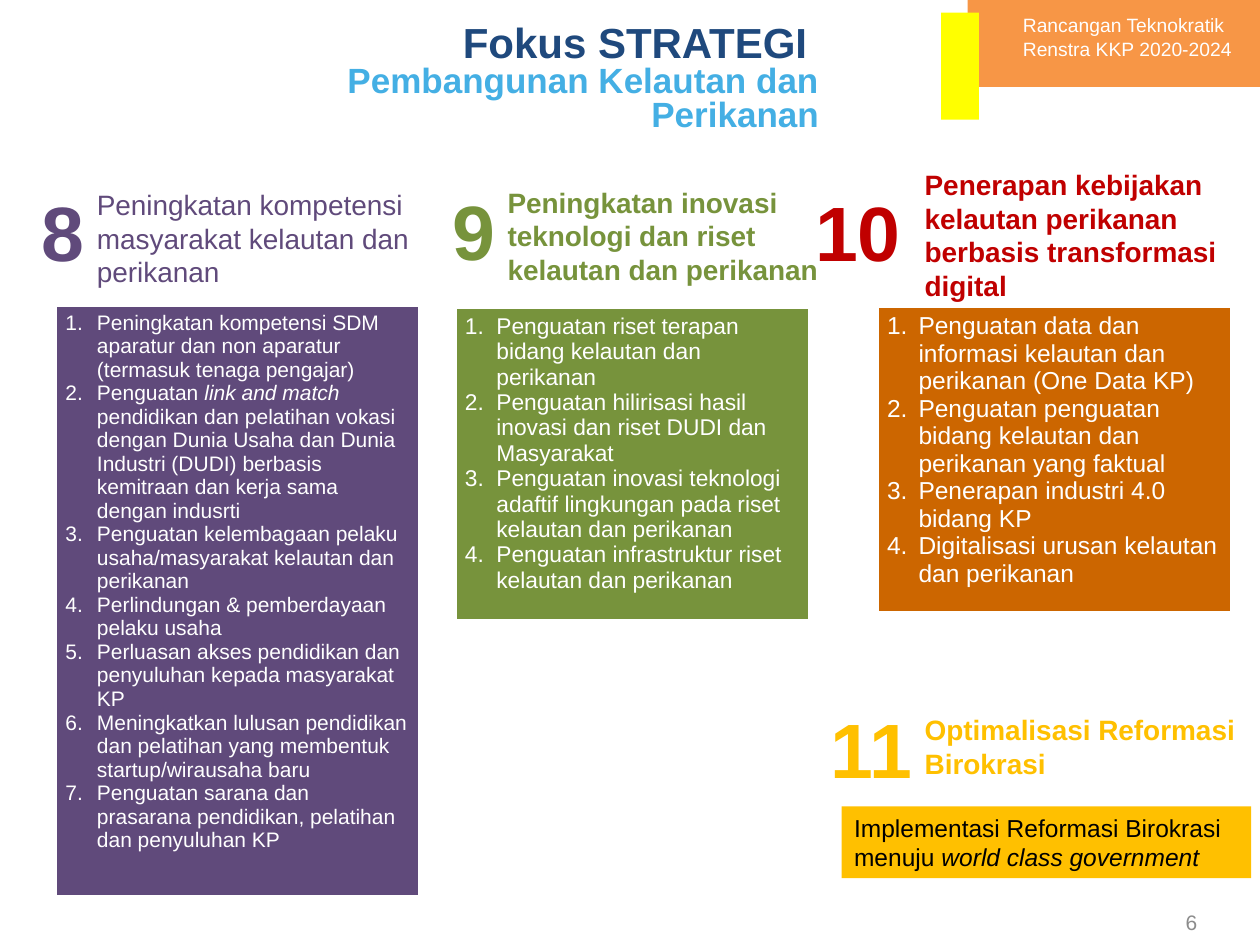
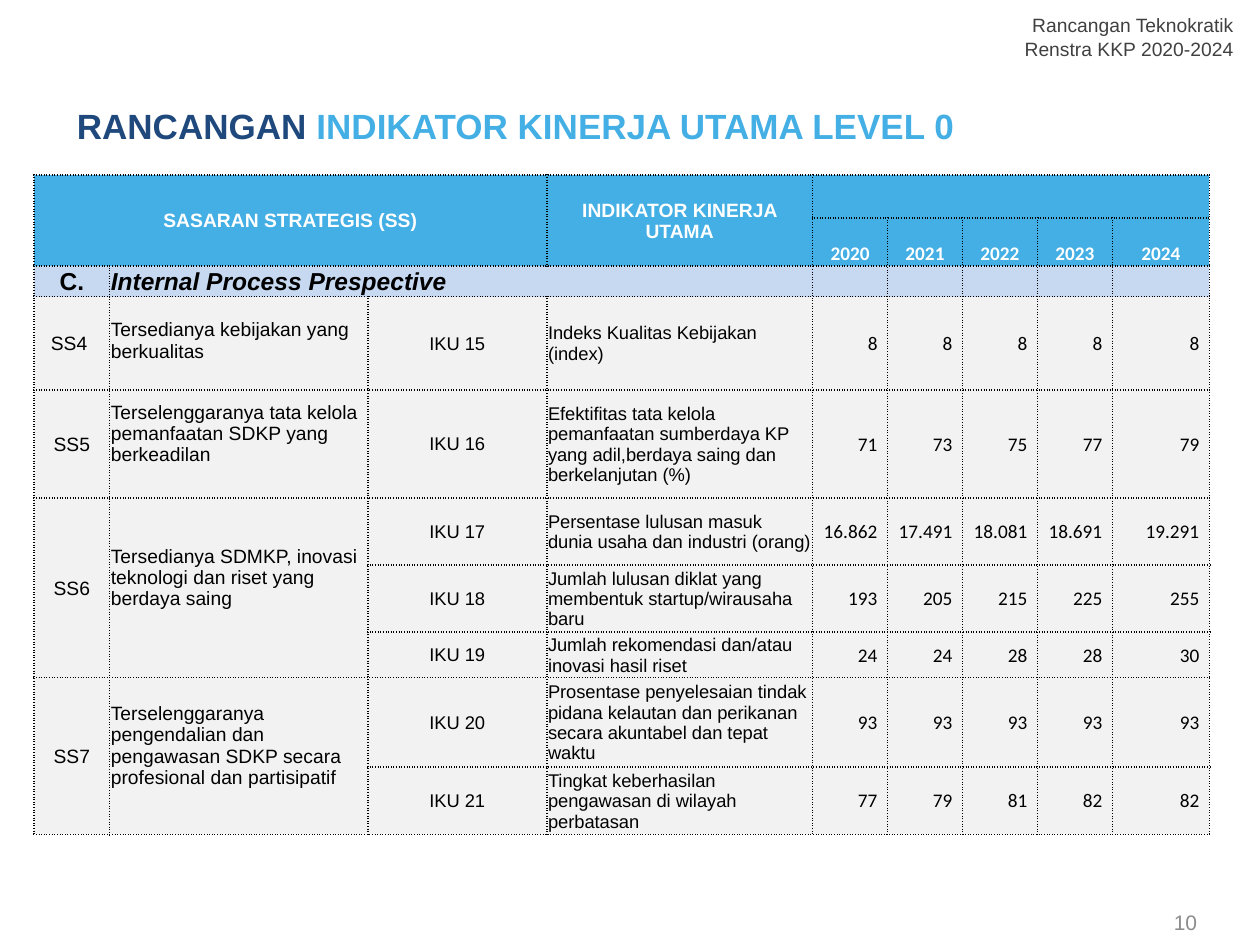
from pptx import Presentation
from pptx.dml.color import RGBColor
from pptx.enum.shapes import MSO_SHAPE
from pptx.enum.text import MSO_ANCHOR, MSO_AUTO_SIZE, PP_ALIGN
from pptx.oxml.ns import qn
from pptx.util import Inches, Pt
from lxml import etree

THEME = {
    "font": "Arial", "number font": "Calibri",
    "navy": "1F497D", "sky": "44AFE4", "purple": "604A7B", "green": "77933C",
    "red": "C00000", "rust": "CC6600", "gold": "FFC000", "orange": "F79646",
    "yellow": "FFFF00", "white": "FFFFFF", "black": "000000", "dark": "404040",
    "gray": "8C8C8C", "pale blue": "C6D9F1", "pale gray": "F2F2F2",
    "title": 24, "subtitle": 20, "number": 44, "heading": 16, "body": 14,
    "page": 12, "label": 11, "indicator": 10.5,
}


def write_text(frame, paragraphs, size, color, align=PP_ALIGN.LEFT, spacing=None, **font):
    """Write paragraphs, each a string or a list of (text, format) spans."""
    for index, content in enumerate(paragraphs):
        para = frame.paragraphs[0] if index == 0 else frame.add_paragraph()
        para.alignment, para.line_spacing = align, spacing
        for text, changes in [(content, {})] if isinstance(content, str) else content:
            span = para.add_run()
            span.text = text
            values = {"name": THEME["font"], "size": size, "color": color, **font, **changes}
            span.font.color.rgb = RGBColor.from_string(THEME[values.pop("color")])
            values["size"] = Pt(THEME.get(values["size"], values["size"]))
            for name, value in values.items():
                setattr(span.font, name, value)


def add_box(slide, at, paragraphs=(), fill=None, anchor=MSO_ANCHOR.TOP, wrap=True, **style):
    """Add a text box, or a filled rectangle when a fill is named."""
    place = [Inches(length) for length in at]
    if fill:
        box = slide.shapes.add_shape(MSO_SHAPE.RECTANGLE, *place)
        box.shadow.inherit = False
        box.fill.solid()
        box.fill.fore_color.rgb = RGBColor.from_string(THEME[fill])
        box.line.fill.background()
    else:
        box = slide.shapes.add_textbox(*place)
    box.text_frame.word_wrap = wrap
    box.text_frame.vertical_anchor = anchor
    write_text(box.text_frame, paragraphs, **style)
    return box


deck = Presentation()
deck.slide_width, deck.slide_height = Inches(10), Inches(7.5)

# Shared frame: title, document label and page number
pages = [
    {"number": "6", "title at": (1.25, 0.16, 5.42, 0.69), "align": PP_ALIGN.RIGHT,
     "title": [[("Fokus STRATEGI ", {"size": "title"})],
               [("Pembangunan Kelautan dan Perikanan", {"color": "sky"})]],
     "label": "white", "label align": PP_ALIGN.LEFT,
     "bands": [((7.68, 0, 2.32, 0.69), "orange"), ((7.47, 0.1, 0.3, 0.85), "yellow")]},
    {"number": "10", "title at": (0.51, 0.84, 7.32, 0.37), "align": PP_ALIGN.LEFT,
     "title": [[("RANCANGAN ", {}), ("INDIKATOR KINERJA UTAMA LEVEL 0", {"color": "sky"})]],
     "label": "dark", "label align": PP_ALIGN.RIGHT, "bands": []},
]
slides = []
for page in pages:
    slide = deck.slides.add_slide(deck.slide_layouts[5])
    slides.append(slide)
    title = slide.shapes.title
    for side, length in zip(("left", "top", "width", "height"), page["title at"]):
        setattr(title, side, Inches(length))
    for name, value in {"auto_size": MSO_AUTO_SIZE.NONE, "word_wrap": True,
                        "vertical_anchor": MSO_ANCHOR.TOP}.items():
        setattr(title.text_frame, name, value)
    title.line.color.rgb = RGBColor.from_string(THEME["white"])
    title.line.width = Pt(0.75)
    write_text(title.text_frame, page["title"], "subtitle", "navy", page["align"], 0.8, bold=True)
    for at, color in page["bands"]:
        add_box(slide, at, fill=color, size="body", color="white")
    add_box(slide, (8.02, 0.06, 1.87, 0.47), ["Rancangan Teknokratik", "Renstra KKP 2020-2024"],
            wrap=False, size="label", color=page["label"], align=page["label align"])
    add_box(slide, (7.27, 7.12, 2.33, 0.4), [page["number"]], anchor=MSO_ANCHOR.MIDDLE,
            size="page", color="gray", align=PP_ALIGN.RIGHT)
strategy, indicators = slides
strategy.shapes.title.fill.solid()
strategy.shapes.title.fill.fore_color.rgb = RGBColor.from_string(THEME["white"])
first_line = strategy.shapes.title.text_frame.paragraphs[0]
first_line._p.get_or_add_pPr().set("marR", str(Inches(0.07)))

# Strategy focus: numbers and headings
headings = [
    ("8", (0.23, 1.56, 0.54, 0.69), (0.67, 1.44, 2.79, 0.91), "purple", False,
     "Peningkatan kompetensi masyarakat kelautan dan perikanan"),
    ("9", (3.49, 1.55, 0.54, 0.69), (3.93, 1.42, 2.79, 0.91), "green", True,
     "Peningkatan inovasi teknologi dan riset kelautan dan perikanan"),
    ("10", (6.31, 1.56, 1, 0.69), (7.24, 1.28, 2.79, 1.18), "red", True,
     "Penerapan kebijakan kelautan perikanan berbasis transformasi digital"),
    ("11", (6.42, 5.66, 0.99, 0.69), (7.24, 5.61, 2.79, 0.64), "gold", True,
     "Optimalisasi Reformasi Birokrasi"),
]
for number, number_at, heading_at, color, bold, heading in headings:
    add_box(strategy, heading_at, [heading], size="heading", color=color, bold=bold)
    add_box(strategy, number_at, [number], size="number", color=color,
            align=PP_ALIGN.CENTER, spacing=0.8, bold=True)

# Strategy focus: numbered lists
lists = [
    ((0.45, 2.43, 2.87, 4.68), "purple", 12, [
        "Peningkatan kompetensi SDM aparatur dan non aparatur (termasuk tenaga pengajar)",
        [("Penguatan ", {}), ("link and match ", {"italic": True}),
         ("pendidikan dan pelatihan vokasi dengan Dunia Usaha dan Dunia Industri (DUDI) "
          "berbasis kemitraan dan kerja sama dengan indusrti", {})],
        "Penguatan kelembagaan pelaku usaha/masyarakat kelautan dan perikanan",
        "Perlindungan & pemberdayaan pelaku usaha",
        "Perluasan akses pendidikan dan penyuluhan kepada masyarakat KP",
        "Meningkatkan lulusan pendidikan dan pelatihan yang membentuk startup/wirausaha baru",
        "Penguatan sarana dan prasarana pendidikan, pelatihan dan penyuluhan KP"]),
    ((3.62, 2.45, 2.8, 2.47), "green", 13, [
        "Penguatan riset terapan bidang kelautan dan perikanan",
        "Penguatan hilirisasi hasil inovasi dan riset DUDI dan Masyarakat",
        "Penguatan inovasi teknologi adaftif lingkungan pada riset kelautan dan perikanan",
        "Penguatan infrastruktur riset kelautan dan perikanan"]),
    ((6.97, 2.44, 2.8, 2.41), "rust", 14, [
        "Penguatan data dan informasi kelautan dan perikanan (One Data KP)",
        "Penguatan penguatan bidang kelautan dan perikanan yang faktual",
        "Penerapan industri 4.0 bidang KP",
        "Digitalisasi urusan kelautan dan perikanan"]),
]
for at, color, size, items in lists:
    table = strategy.shapes.add_table(1, 1, *[Inches(length) for length in at]).table
    table.first_row = table.horz_banding = False
    cell = table.cell(0, 0)
    for side, margin in {"left": 0.07, "right": 0.07, "top": 0.04, "bottom": 0.04}.items():
        setattr(cell, f"margin_{side}", Inches(margin))
    cell.fill.solid()
    cell.fill.fore_color.rgb = RGBColor.from_string(THEME[color])
    write_text(cell.text_frame, items, size, "white", bold=False)
    for para in cell.text_frame.paragraphs:
        properties = para._p.get_or_add_pPr()
        properties.set("marL", str(Inches(0.25)))
        properties.set("indent", str(-Inches(0.25)))
        etree.SubElement(properties, qn("a:buAutoNum"), type="arabicPeriod")

add_box(strategy, (6.68, 6.4, 3.25, 0.57),
        [[("Implementasi Reformasi Birokrasi menuju ", {}),
          ("world class government", {"italic": True})]],
        fill="gold", size="body", color="black")

# Indicator table: the first four years share what the other columns leave
table_width = 9.33
text_widths, last_width = [0.6, 2.05, 1.42, 2.11], 0.77
year_width = (table_width - sum(text_widths) - last_width) / 4
column_widths = text_widths + [year_width] * 4 + [last_width]
row_heights = [0.34, 0.38, 0.24, 0.74, 0.86, 0.53, 0.53, 0.36, 0.71, 0.53]
blank = [""] * 5
rows = [
    ["SASARAN STRATEGIS (SS)", "", "", "INDIKATOR KINERJA UTAMA"] + blank,
    ["", "", "", "", "2020", "2021", "2022", "2023", "2024"],
    ["C.", "Internal Process Prespective", "", ""] + blank,
    ["SS4 ", "Tersedianya kebijakan yang berkualitas", "IKU 15",
     "Indeks Kualitas Kebijakan (index)"] + ["8"] * 5,
    ["SS5", "Terselenggaranya tata kelola pemanfaatan SDKP yang berkeadilan", "IKU 16",
     "Efektifitas tata kelola pemanfaatan sumberdaya KP yang adil,berdaya saing dan "
     "berkelanjutan (%)", "71", "73", "75", "77", "79"],
    ["SS6", "Tersedianya SDMKP, inovasi teknologi dan riset yang berdaya saing", "IKU 17",
     "Persentase lulusan masuk dunia usaha dan industri (orang)",
     "16.862", "17.491", "18.081", "18.691", "19.291"],
    ["", "", "IKU 18", "Jumlah lulusan diklat yang membentuk startup/wirausaha baru",
     "193", "205", "215", "225", "255"],
    ["", "", "IKU 19", "Jumlah rekomendasi dan/atau inovasi hasil riset",
     "24", "24", "28", "28", "30"],
    ["SS7", "Terselenggaranya pengendalian dan pengawasan SDKP secara profesional dan "
     "partisipatif", "IKU 20",
     "Prosentase penyelesaian tindak pidana kelautan dan perikanan secara akuntabel dan "
     "tepat waktu"] + ["93"] * 5,
    ["", "", "IKU 21", "Tingkat keberhasilan pengawasan di wilayah perbatasan",
     "77", "79", "81", "82", "82"],
]
merges = [((0, 0), (1, 2)), ((0, 3), (1, 3)), ((0, 4), (0, 8)), ((2, 1), (2, 3)),
          ((5, 0), (7, 0)), ((5, 1), (7, 1)), ((8, 0), (9, 0)), ((8, 1), (9, 1))]
table = indicators.shapes.add_table(
    len(rows), len(column_widths), Inches(0.27), Inches(1.39),
    Inches(table_width), Inches(sum(row_heights))).table
table.first_row = table.horz_banding = False
for column, width in zip(table.columns, column_widths):
    column.width = Inches(width)
for row, height in zip(table.rows, row_heights):
    row.height = Inches(height)

for row_index, texts in enumerate(rows):
    for column_index, text in enumerate(texts):
        cell = table.cell(row_index, column_index)
        header, section = row_index < 2, row_index == 2
        is_value = column_index > 3
        is_goal = column_index == 1 and row_index > 2
        size = "body" if section else "label"
        if not header and not section and column_index in (2, 3):
            size = "indicator"
        align = PP_ALIGN.CENTER
        if not header and column_index in (1, 3):
            align = PP_ALIGN.LEFT
        elif not header and is_value:
            align = PP_ALIGN.RIGHT
        goal_margin = 0.05 if row_index == 3 else 0.17
        layout = {
            "margin_left": Inches(0.01), "margin_top": Inches(0.01),
            "margin_right": Inches(0.08 if is_value and not header else 0.01),
            "margin_bottom": Inches(goal_margin if is_goal else 0),
            "vertical_anchor": MSO_ANCHOR.BOTTOM if row_index == 1 else MSO_ANCHOR.MIDDLE,
        }
        for name, value in layout.items():
            setattr(cell, name, value)
        fill = "sky" if header else "pale blue" if section else "pale gray"
        cell.fill.solid()
        cell.fill.fore_color.rgb = RGBColor.from_string(THEME[fill])
        if text:
            write_text(cell.text_frame, [text], size, "white" if header else "black", align,
                       name=THEME["number font" if is_value else "font"],
                       bold=header or section, italic=section and column_index == 1)
        else:
            etree.SubElement(cell.text_frame.paragraphs[0]._p, qn("a:endParaRPr"),
                             sz=str(THEME["label"] * 100))
        properties = cell._tc.get_or_add_tcPr()
        for position, edge in enumerate(("lnL", "lnR", "lnT", "lnB")):
            border = etree.Element(qn(f"a:{edge}"), w=str(Pt(1)))
            ink = etree.SubElement(border, qn("a:solidFill"))
            etree.SubElement(ink, qn("a:srgbClr"), val=THEME["black"])
            etree.SubElement(border, qn("a:prstDash"), val="sysDot")
            properties.insert(position, border)
for first, last in merges:
    table.cell(*first).merge(table.cell(*last))

deck.save("out.pptx")
